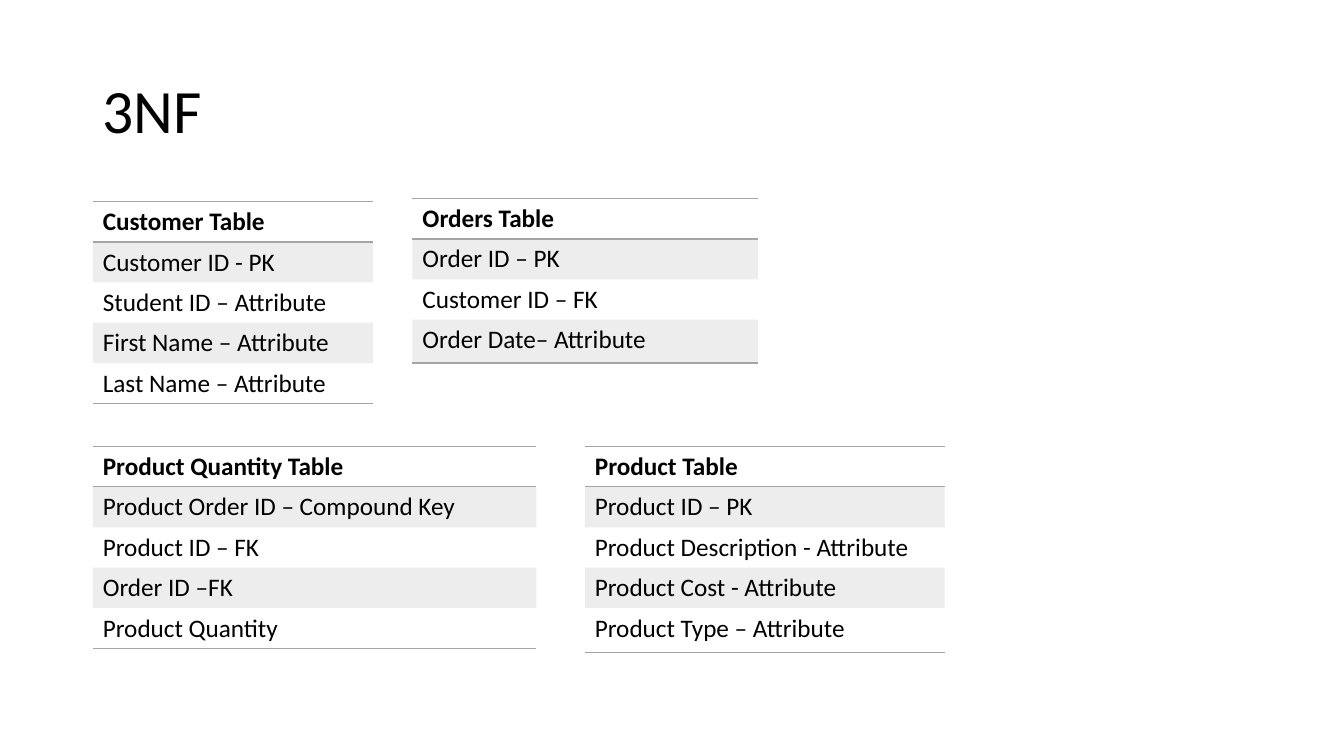
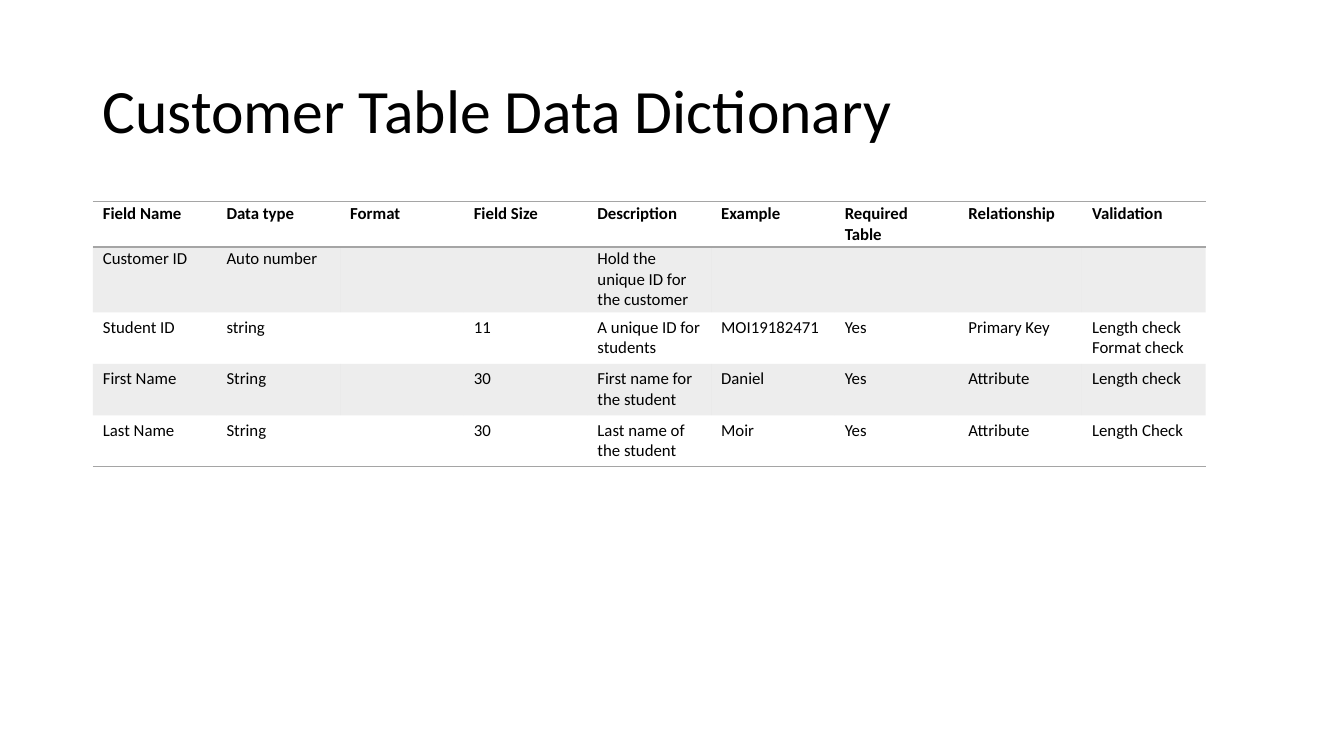
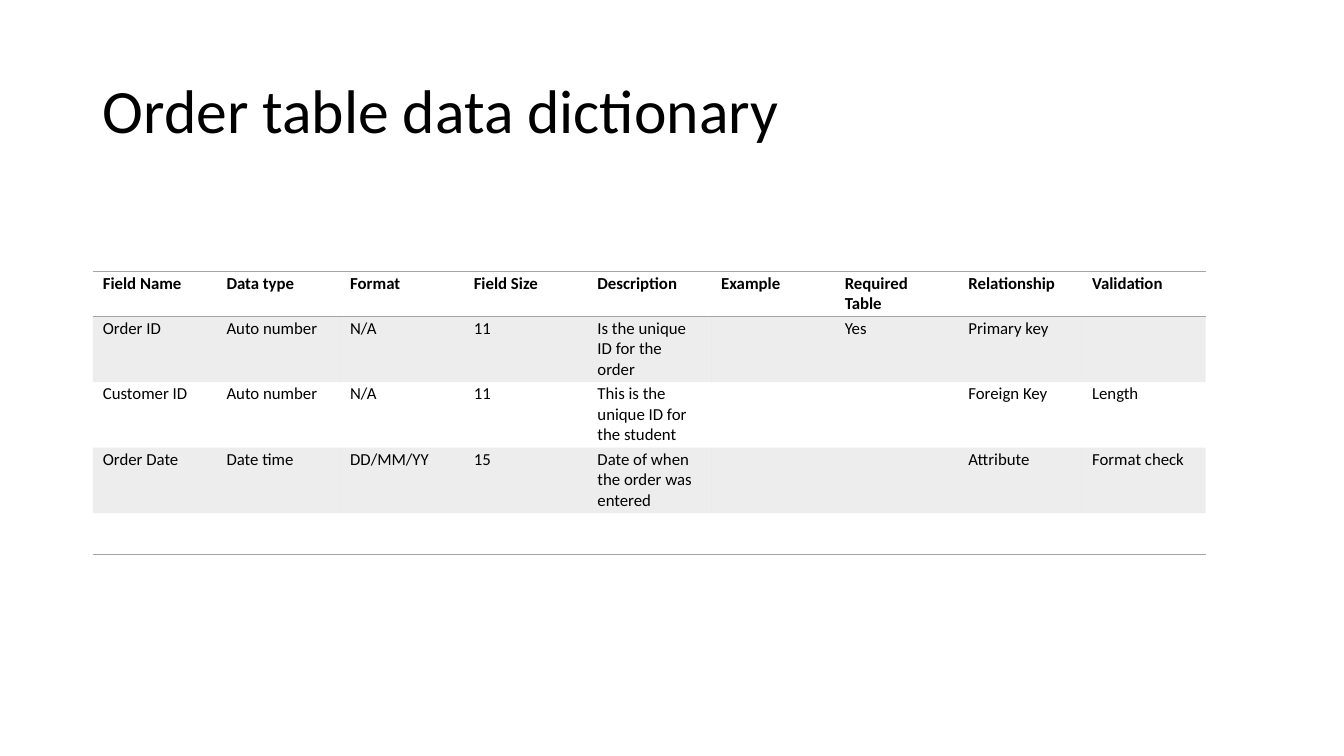
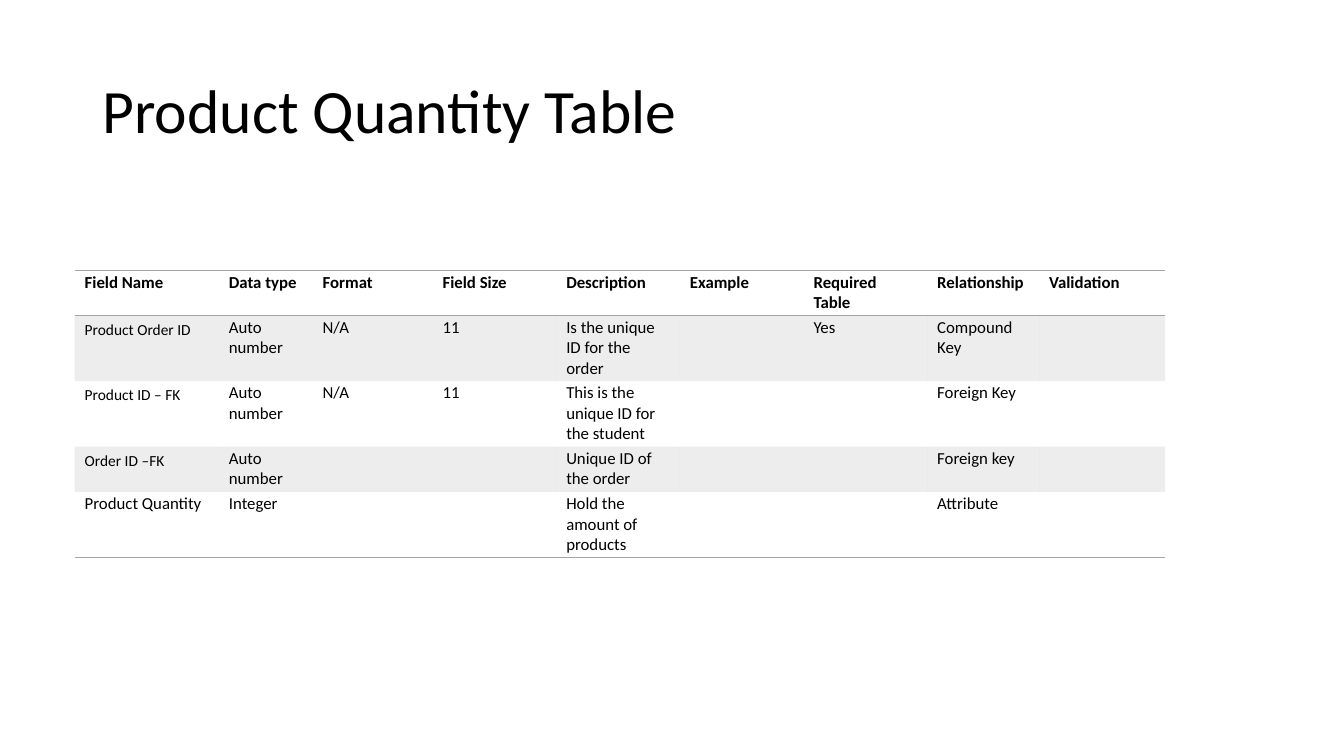
"""Build four slides on third normal form and its data dictionaries."""
from lxml import etree
from pptx import Presentation
from pptx.dml.color import RGBColor
from pptx.enum.text import MSO_ANCHOR
from pptx.oxml.ns import qn
from pptx.util import Pt

PX = 9144
BLACK = RGBColor(0x00, 0x00, 0x00)
GREY = RGBColor(0xA5, 0xA5, 0xA5)
FONT = "Calibri"
MIDDLE = MSO_ANCHOR.MIDDLE
NO_STYLE = "{2D5ABB26-0587-4C30-8999-92F81FD0307C}"
NO_BREAK_SPACE = chr(160)
LEFT = 92
FIELD_WIDTH = 1104 / 9
FIELDS = [name + NO_BREAK_SPACE for name in (
    "Field Name", "Data type", "Format", "Field Size", "Description",
    "Example", "Required Table", "Relationship", "Validation")]

deck = Presentation()
deck.slide_width = 1333 * PX
deck.slide_height = 750 * PX


def add_page(title):
    page = deck.slides.add_slide(deck.slide_layouts[6])
    box = page.shapes.add_textbox(LEFT * PX, 40 * PX, 1150 * PX, 145 * PX)
    box.text_frame.word_wrap = True
    box.text_frame.vertical_anchor = MIDDLE
    box.text_frame.text = title
    para = box.text_frame.paragraphs[0]
    para.line_spacing = 0.9
    font = para.runs[0].font
    font.name, font.size, font.color.rgb = FONT, Pt(44), BLACK
    return page


def add_ruled_table(page, left, top, widths, heights, rows, size, margin):
    frame = page.shapes.add_table(
        len(rows), len(widths), left * PX, top * PX,
        int(sum(widths) * PX), sum(heights) * PX)
    table = frame.table
    table.horz_banding = False
    table._tbl.tblPr.find(qn("a:tableStyleId")).text = NO_STYLE
    for column, width in zip(table.columns, widths):
        column.width = int(width * PX)
    for index, (texts, height) in enumerate(zip(rows, heights)):
        table.rows[index].height = height * PX
        edges = []
        if index == 0:
            edges = ["a:lnT", "a:lnB"]
        elif index == len(rows) - 1:
            edges = ["a:lnB"]
        for cell, text in zip(table.rows[index].cells, texts):
            cell.margin_left = cell.margin_right = 10 * PX
            cell.margin_top = cell.margin_bottom = margin * PX
            properties = cell._tc.get_or_add_tcPr()
            for edge in edges:
                line = etree.SubElement(properties, qn(edge), w=str(Pt(1)))
                paint = etree.SubElement(line, qn("a:solidFill"))
                etree.SubElement(paint, qn("a:srgbClr"), val=str(GREY))
            if index % 2:
                cell.fill.solid()
                cell.fill.fore_color.rgb = GREY
                colour = properties.find(qn("a:solidFill")).find(qn("a:srgbClr"))
                etree.SubElement(colour, qn("a:alpha"), val="20000")
            else:
                cell.fill.background()
            cell.text_frame.text = text
            for para in cell.text_frame.paragraphs:
                for span in para.runs:
                    span.font.name, span.font.size = FONT, Pt(size)
                    span.font.color.rgb = BLACK
                    span.font.bold = index == 0
    return table


page = add_page("3NF")
entities = [
    (LEFT, 200, 278, 40, [
        "Customer Table", "Customer ID - PK", "Student ID – Attribute",
        "First Name – Attribute", "Last Name – Attribute"]),
    (409, 197, 343, 43, [
        "Orders Table", "Order ID – PK", "Customer ID – FK",
        "Order Date– Attribute"]),
    (580, 443, 357, 44, [
        "Product Table", "Product ID – PK", "Product Description - Attribute",
        "Product Cost - Attribute", "Product Type – Attribute"]),
    (LEFT, 443, 440, 40, [
        "Product Quantity Table", "Product Order ID – Compound Key",
        "Product ID – FK", "Order ID –FK", "Product Quantity"]),
]
for left, top, width, last_height, lines in entities:
    heights = [40] * (len(lines) - 1) + [last_height]
    add_ruled_table(page, left, top, [width], heights,
                    [[line] for line in lines], 18, 5)

page = add_page("Customer Table Data Dictionary")
customer_table = add_ruled_table(
    page, LEFT, 200, [FIELD_WIDTH] * 9, [45, 65, 51, 51, 51], [
        FIELDS,
        ["Customer ID", "Auto number", "", "",
         "Hold the unique ID for the customer", "", "", "", ""],
        ["Student ID", "string", "", "11", "A unique ID for students",
         "MOI19182471", "Yes", "Primary Key", "Length check\nFormat check"],
        ["First Name", "String", "", "30", "First name for the student",
         "Daniel", "Yes", "Attribute", "Length check"],
        ["Last Name", "String", "", "30", "Last name of the student",
         "Moir", "Yes", "Attribute", "Length Check"],
    ], 12, 2)
for row in list(customer_table.rows)[2:]:
    for cell in row.cells:
        cell.margin_top = cell.margin_bottom = 5 * PX

page = add_page("Order table data dictionary")
add_ruled_table(
    page, LEFT, 269, [FIELD_WIDTH] * 9, [45, 65, 65, 65, 41], [
        FIELDS,
        ["Order ID", "Auto number", "N/A", "11",
         "Is the unique ID for the order", "", "Yes", "Primary key", ""],
        ["Customer ID", "Auto number", "N/A", "11",
         "This is the unique ID for the student", "", "", "Foreign Key",
         "Length"],
        ["Order Date", "Date time", "DD/MM/YY", "15",
         "Date of when the order was entered", "", "", "Attribute",
         "Format check"],
        [""] * 9,
    ], 12, 2)

page = add_page("Product Quantity Table")
quantity_table = add_ruled_table(
    page, 74, 268, [143, 93, 119] + [FIELD_WIDTH] * 4 + [111, 125],
    [45, 65, 65, 45, 65], [
        FIELDS,
        ["Product Order ID", "Auto number", "N/A", "11",
         "Is the unique ID for the order", "", "Yes", "Compound Key", ""],
        ["Product ID – FK", "Auto number", "N/A", "11",
         "This is the unique ID for the student", "", "", "Foreign Key", ""],
        ["Order ID –FK", "Auto number", "", "", "Unique ID of the order",
         "", "", "Foreign key", ""],
        ["Product Quantity", "Integer", "", "", "Hold the amount of products",
         "", "", "Attribute", ""],
    ], 12, 2)
for index in range(1, 4):
    cell = quantity_table.cell(index, 0)
    cell.margin_top = cell.margin_bottom = 5 * PX
    cell.text_frame.paragraphs[0].runs[0].font.size = Pt(11)

deck.save("out.pptx")
